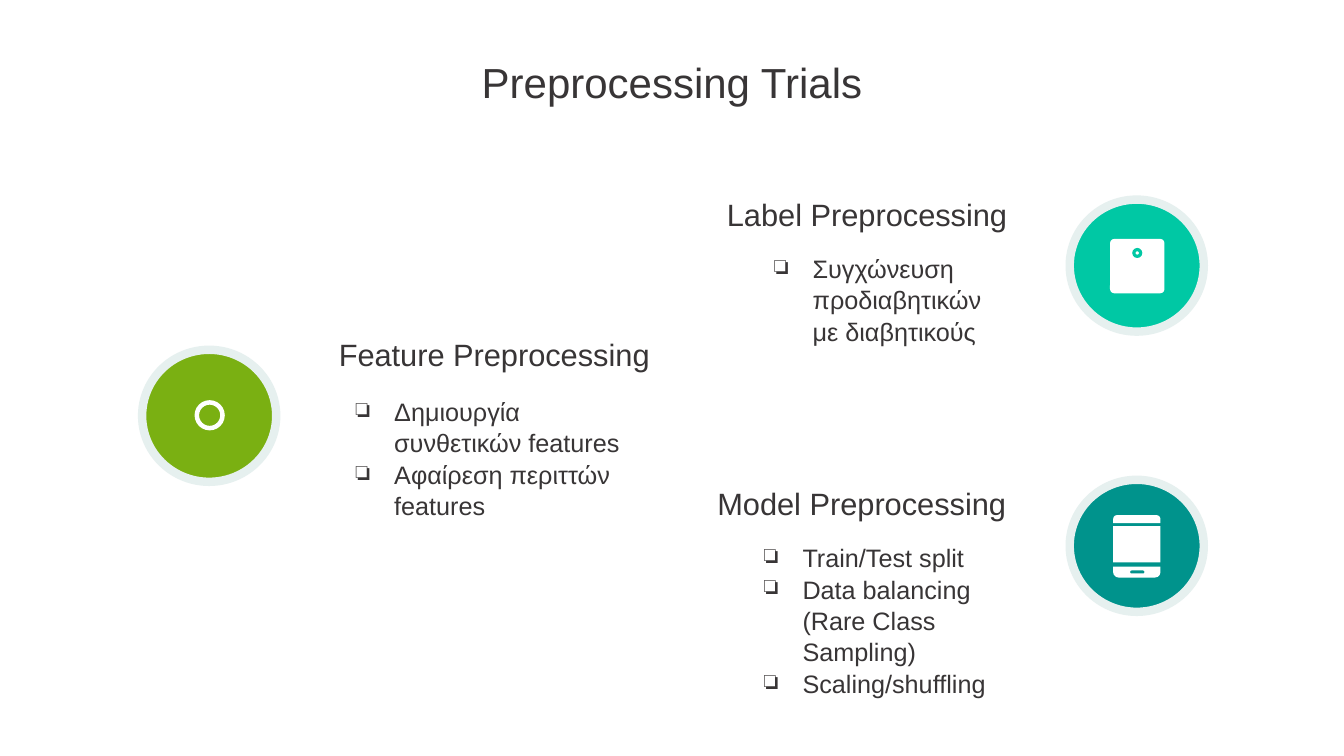
from collections.abc import Callable
from dataclasses import dataclass
from math import cos, pi, sin

from lxml.etree import SubElement
from pptx import Presentation
from pptx.dml.color import RGBColor
from pptx.enum.shapes import MSO_SHAPE as Preset
from pptx.enum.text import MSO_ANCHOR as Anchor, MSO_AUTO_SIZE as AutoSize, PP_ALIGN as Align
from pptx.oxml.ns import qn
from pptx.util import Inches, Pt

Point = tuple[float, float]
Box = tuple[float, float, float, float]


@dataclass(frozen=True)
class Theme:
    font: str = "Arial"
    text: str = "383536"
    white: str = "FFFFFF"
    ring: str = "E6F0EF"
    green: str = "7AB012"
    mint: str = "00C8A4"
    teal: str = "00938C"
    title_size: int = 30
    heading_size: int = 22
    body_size: int = 18
    inset: float = 0.13
    top_inset: float = 0.15
    body_spacing: float = 1.04


THEME = Theme()


@dataclass(frozen=True)
class Section:
    heading: str
    heading_box: Box
    align: Align
    items: tuple[str, ...]
    items_box: Box
    level: int
    badge_left: float
    badge_top: float
    color: str
    draw_icon: Callable


def rgb(color: str) -> RGBColor:
    return RGBColor.from_string(color)


def paint(shape, color: str) -> None:
    shape.shadow.inherit = False
    shape.fill.solid()
    shape.fill.fore_color.rgb = rgb(color)
    shape.line.fill.background()


def add_preset(slide, preset: Preset, box: Box, color: str, adjustments: tuple[float, ...] = ()):
    shape = slide.shapes.add_shape(preset, *map(Inches, box))
    for index, value in enumerate(adjustments):
        shape.adjustments[index] = value
    paint(shape, color)
    return shape


def add_outline(slide, contours: list[list[Point]], color: str) -> None:
    """Draw a filled outline; contours after the first are holes."""
    first, *holes = contours
    builder = slide.shapes.build_freeform(*first[0], scale=Inches(1))
    builder.add_line_segments(first[1:], close=True)
    for hole in holes:
        builder.move_to(*hole[0])
        builder.add_line_segments(hole[1:], close=True)
    paint(builder.convert_to_shape(), color)


def fit_frame(frame) -> None:
    frame.word_wrap = True
    frame.auto_size = AutoSize.NONE
    frame.vertical_anchor = Anchor.TOP
    frame.margin_left = frame.margin_right = frame.margin_bottom = Inches(THEME.inset)
    frame.margin_top = Inches(THEME.top_inset)


def style(paragraph, size: int, align: Align) -> None:
    paragraph.alignment = align
    paragraph.font.name = THEME.font
    paragraph.font.size = Pt(size)
    paragraph.font.color.rgb = rgb(THEME.text)


def add_bullet(paragraph, margin: float) -> None:
    properties = paragraph._p.get_or_add_pPr()
    properties.set("marL", str(Inches(margin)))
    properties.set("indent", str(Inches(-0.38)))
    bullet_color = SubElement(properties, qn("a:buClr"))
    SubElement(bullet_color, qn("a:srgbClr"), val=THEME.text)
    SubElement(properties, qn("a:buChar"), char="❏")


def add_text(slide, box: Box):
    frame = slide.shapes.add_textbox(*map(Inches, box)).text_frame
    fit_frame(frame)
    return frame


# Icons
def draw_gear(slide, color: str) -> None:
    center_x, center_y = 2.08, 4.12
    teeth, hole_steps, hole_radius = 8, 48, 0.19
    tooth = [(0.295, -0.07), (0.33, -0.06), (0.355, -0.04),
             (0.355, 0.04), (0.33, 0.06), (0.295, 0.07)]
    rim = []
    for index in range(teeth):
        angle = 2 * pi * index / teeth
        rim += [(center_x + out * cos(angle) - side * sin(angle),
                 center_y + out * sin(angle) + side * cos(angle)) for out, side in tooth]
    hole = [(center_x + hole_radius * cos(2 * pi * step / hole_steps),
             center_y - hole_radius * sin(2 * pi * step / hole_steps))
            for step in range(hole_steps)]
    add_outline(slide, [rim, hole], THEME.white)
    add_preset(slide, Preset.DONUT, (1.93, 3.97, 0.3, 0.3), THEME.white, (0.15,))


def draw_info(slide, color: str) -> None:
    add_preset(slide, Preset.ROUNDED_RECTANGLE, (11.01, 2.37, 0.54, 0.54), THEME.white, (0.08,))
    add_preset(slide, Preset.DONUT, (11.23, 2.46, 0.1, 0.1), color, (0.33,))
    stem = [(11.2, 2.59), (11.32, 2.59), (11.32, 2.78), (11.35, 2.78), (11.35, 2.81),
            (11.2, 2.81), (11.2, 2.78), (11.23, 2.78), (11.23, 2.62), (11.2, 2.62)]
    slot = [(11.26, 2.62), (11.26, 2.78), (11.29, 2.78), (11.29, 2.62)]
    add_outline(slide, [stem, slot], color)


def draw_phone(slide, color: str) -> None:
    left, width = 11.04, 0.47
    add_preset(slide, Preset.ROUND_2_SAME_RECTANGLE, (left, 5.11, width, 0.08),
               THEME.white, (0.5, 0))
    add_preset(slide, Preset.RECTANGLE, (left, 5.22, width, 0.36), THEME.white)
    add_preset(slide, Preset.ROUND_2_SAME_RECTANGLE, (left, 5.62, width, 0.11),
               THEME.white, (0, 0.5))
    add_preset(slide, Preset.ROUNDED_RECTANGLE, (11.21, 5.66, 0.14, 0.03), color, (0.5,))


SECTIONS = (
    Section("Feature Preprocessing", (3.23, 3.18, 3.38, 0.85), Align.LEFT,
            ("Δημιουργία συνθετικών features", "Αφαίρεση περιττών features"),
            (3.28, 3.77, 3.15, 1.76), 0, 1.41, 3.47, THEME.green, draw_gear),
    Section("Label Preprocessing", (6.97, 1.79, 3.15, 0.85), Align.RIGHT,
            ("Συγχώνευση προδιαβητικών με διαβητικούς",),
            (7.43, 2.35, 2.68, 1.67), 0, 10.61, 1.98, THEME.mint, draw_info),
    Section("Model Preprocessing", (6.83, 4.66, 3.28, 0.85), Align.RIGHT,
            ("Train/Test split", "Data balancing (Rare Class Sampling)", "Scaling/shuffling"),
            (6.83, 5.22, 3.56, 1.44), 1, 10.61, 4.76, THEME.teal, draw_phone),
)


def add_title(slide, text: str) -> None:
    title = slide.shapes.title
    title.left, title.top, title.width, title.height = map(Inches, (3.53, 0.41, 6.27, 0.92))
    title.text_frame.text = text
    fit_frame(title.text_frame)
    style(title.text_frame.paragraphs[0], THEME.title_size, Align.CENTER)


def add_section(slide, section: Section) -> None:
    # Heading
    heading = add_text(slide, section.heading_box).paragraphs[0]
    heading.text = section.heading
    style(heading, THEME.heading_size, section.align)

    # Bulleted items
    items = add_text(slide, section.items_box)
    for index, text in enumerate(section.items):
        item = items.add_paragraph() if index else items.paragraphs[0]
        item.text = text
        item.level = section.level
        add_bullet(item, 0.5 * (section.level + 1))
        item.line_spacing = THEME.body_spacing
        style(item, THEME.body_size, Align.LEFT)

    # Round badge with its icon
    badge = add_preset(slide, Preset.OVAL, (section.badge_left, section.badge_top, 1.33, 1.31),
                       section.color)
    badge.line.color.rgb = rgb(THEME.ring)
    badge.line.width = Pt(6)
    section.draw_icon(slide, section.color)


def main() -> None:
    deck = Presentation()
    deck.slide_width, deck.slide_height = Inches(13.33), Inches(7.5)
    slide = deck.slides.add_slide(deck.slide_layouts.get_by_name("Title Only"))
    add_title(slide, "Preprocessing Trials")
    for section in SECTIONS:
        add_section(slide, section)
    deck.save("out.pptx")


if __name__ == "__main__":
    main()
